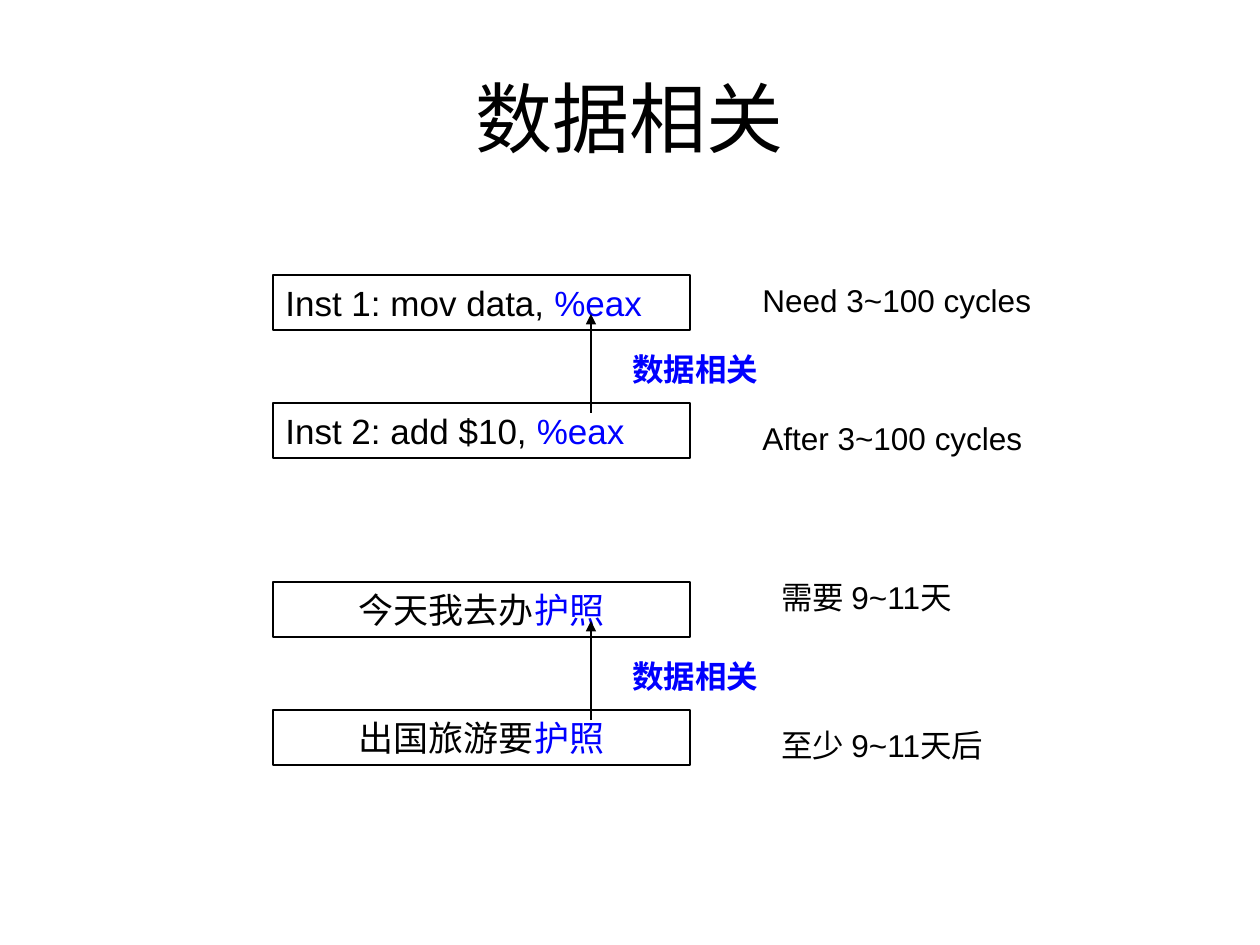
import dataclasses

import pptx
import pptx.dml.color
import pptx.enum.shapes
import pptx.enum.text
import pptx.oxml
import pptx.oxml.ns
import pptx.util

EMU_PER_PX = 914400 // 126
LEFT = pptx.enum.text.PP_ALIGN.LEFT
CENTER = pptx.enum.text.PP_ALIGN.CENTER


@dataclasses.dataclass(frozen=True)
class Theme:
    ink: str = "000000"
    accent: str = "0000FF"
    title_font: str = "Calibri"
    body_font: str = "Arial"
    title_size: int = 44
    box_size: int = 20
    note_size: int = 18
    line_width: float = 0.75


THEME = Theme()


def px(length):
    return pptx.util.Emu(length * EMU_PER_PX)


def color(value):
    return pptx.dml.color.RGBColor.from_string(value)


def format_run(run, size, value=THEME.ink, name=THEME.body_font, bold=False):
    run.font.size = pptx.util.Pt(size)
    run.font.color.rgb = color(value)
    run.font.name = name
    run.font.bold = bold


def add_title(slide, text):
    title = slide.shapes.title
    title.left, title.top, title.width, title.height = map(px, (63, 38, 1134, 157))
    title.text_frame.text = text
    title.text_frame.vertical_anchor = pptx.enum.text.MSO_ANCHOR.MIDDLE
    paragraph = title.text_frame.paragraphs[0]
    paragraph.alignment = CENTER
    format_run(paragraph.runs[0], THEME.title_size, name=THEME.title_font)


def add_step(slide, top, text, resource, alignment):
    """Add an outlined box whose text ends in the shared resource."""
    box = slide.shapes.add_shape(
        pptx.enum.shapes.MSO_SHAPE.RECTANGLE, px(273), px(top), px(417), px(55))
    box.shadow.inherit = False
    box.fill.background()
    box.line.color.rgb = color(THEME.ink)
    box.line.width = pptx.util.Pt(THEME.line_width)
    frame = box.text_frame
    frame.word_wrap = True
    frame.vertical_anchor = pptx.enum.text.MSO_ANCHOR.TOP
    frame.text = text
    paragraph = frame.paragraphs[0]
    paragraph.alignment = alignment
    paragraph.add_run().text = resource
    for run, value in zip(paragraph.runs, (THEME.ink, THEME.accent)):
        format_run(run, THEME.box_size, value)


def add_arrow(slide, x, start, end):
    arrow = slide.shapes.add_connector(
        pptx.enum.shapes.MSO_CONNECTOR.STRAIGHT, px(x), px(start), px(x), px(end))
    arrow.line.color.rgb = color(THEME.ink)
    arrow.line.width = pptx.util.Pt(THEME.line_width)
    head = pptx.oxml.parse_xml(
        f'<a:tailEnd {pptx.oxml.ns.nsdecls("a")} type="triangle"/>')
    arrow.line._get_or_add_ln().append(head)
    effects = pptx.oxml.parse_xml(f'<a:effectLst {pptx.oxml.ns.nsdecls("a")}/>')
    arrow._element.spPr.append(effects)


def add_note(slide, left, top, width, text, value=THEME.ink, bold=False):
    note = slide.shapes.add_textbox(px(left), px(top), px(width), px(50))
    note.text_frame.word_wrap = True
    note.text_frame.text = text
    format_run(note.text_frame.paragraphs[0].runs[0], THEME.note_size, value, bold=bold)


def add_dependency(slide, top, steps, resource, alignment, notes):
    """Add two steps, the arrow between them and a timing note for each."""
    for index, text in enumerate(steps):
        add_step(slide, top + 128 * index, text, resource, alignment)
    add_arrow(slide, 591, top + 138, top + 39)
    add_note(slide, 620, top + 69, 159, "数据相关", THEME.accent, bold=True)
    for left, note_top, text in notes:
        add_note(slide, left, note_top, 348, text)


def main():
    presentation = pptx.Presentation()
    presentation.slide_width = px(1260)
    presentation.slide_height = px(945)
    slide = presentation.slides.add_slide(presentation.slide_layouts[5])
    add_title(slide, "数据相关")
    add_dependency(
        slide, 275, ("Inst 1: mov data, ", "Inst 2: add $10, "), "%eax", LEFT,
        ((750, 275, "Need 3~100 cycles"), (750, 413, "After 3~100 cycles")))
    add_dependency(
        slide, 582, ("今天我去办", "出国旅游要"), "护照", CENTER,
        ((769, 572, "需要 9~11天"), (769, 720, "至少 9~11天后")))
    presentation.save("out.pptx")


if __name__ == "__main__":
    main()
